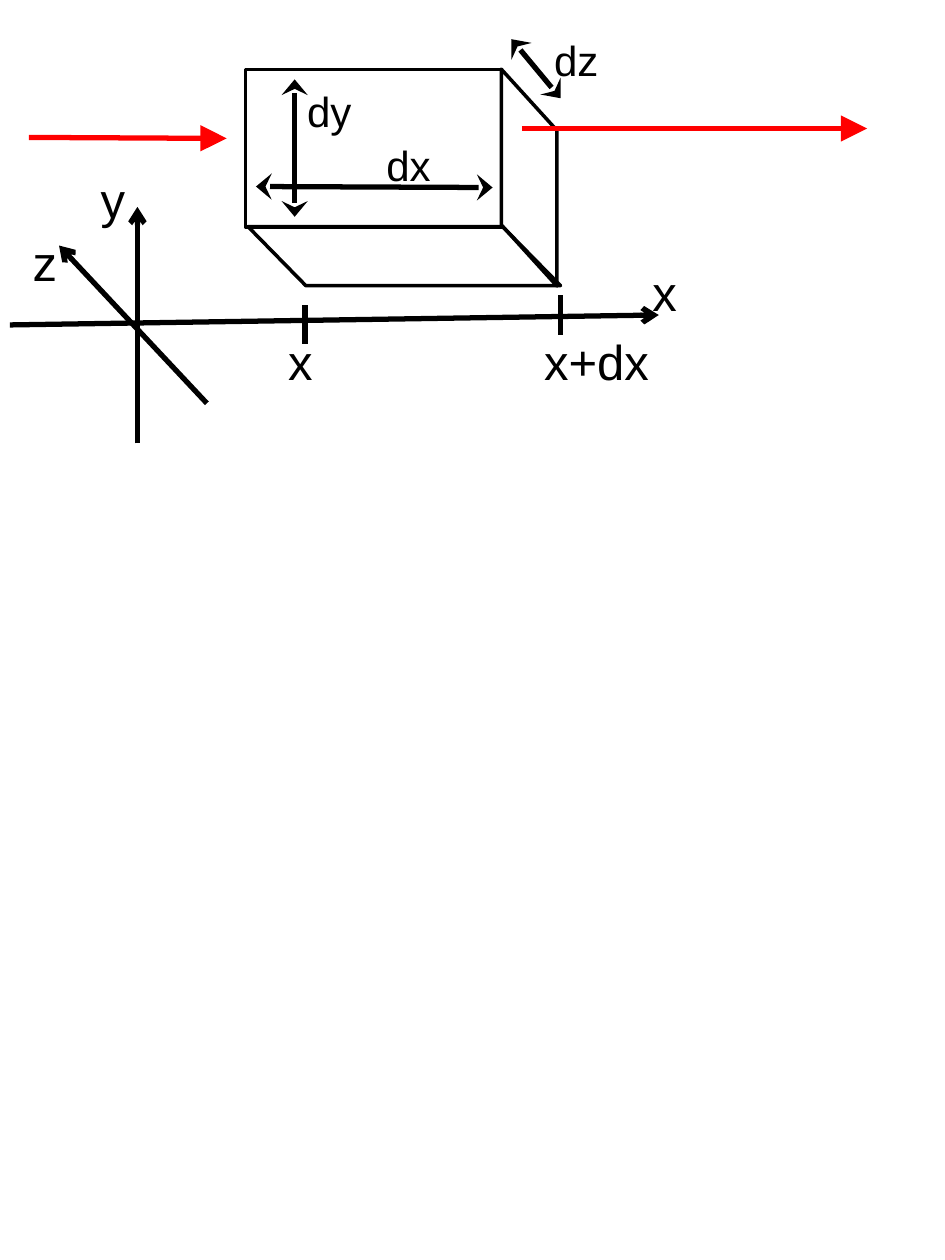
"""Draw a volume element dx, dy, dz in its axes with flow in and out."""
from typing import NamedTuple

from lxml.etree import SubElement
from pptx import Presentation
from pptx.dml.color import RGBColor
from pptx.enum.shapes import MSO_CONNECTOR as Link, MSO_SHAPE as Kind
from pptx.enum.text import MSO_AUTO_SIZE as Fit
from pptx.oxml.ns import qn
from pptx.util import Cm, Pt

BLACK = RGBColor(0, 0, 0)
RED = RGBColor(255, 0, 0)


class Face(NamedTuple):
    kind: Kind
    left: float
    top: float
    width: float
    height: float
    slant: float = 0
    turn: float = 0
    flip: bool = False


class Tip(NamedTuple):
    style: str
    width: str = "med"
    length: str = "med"


class Line(NamedTuple):
    x1: float
    y1: float
    x2: float
    y2: float
    head: Tip | None = None
    tail: Tip | None = None
    color: RGBColor = BLACK


class Label(NamedTuple):
    text: str
    left: float
    top: float
    size: int = 28
    width: float = 2.18


OPEN = Tip("arrow")
BARB = Tip("stealth", "lg")
FLOW = Tip("triangle", "lg", "lg")

FACES = [
    Face(Kind.RECTANGLE, 4.95, 1.4, 5.16, 3.18),
    Face(Kind.PARALLELOGRAM, 8.48, 3.02, 4.37, 1.12, slant=1.1, turn=90),
    Face(Kind.PARALLELOGRAM, 5, 4.57, 6.3, 1.19, slant=0.98, flip=True),
]
AXES = [
    Line(0.2, 6.55, 13.28, 6.35, tail=OPEN),
    Line(2.77, 8.94, 2.77, 4.17, tail=OPEN),
    Line(4.17, 8.13, 1.19, 4.95, tail=OPEN),
]
TICKS = [Line(6.15, 6.93, 6.15, 6.15), Line(11.3, 6.75, 11.3, 5.95)]
SPANS = [
    Line(10.31, 0.79, 11.3, 1.98, BARB, BARB),
    Line(5.94, 1.6, 5.94, 4.37, BARB, BARB),
    Line(5.16, 3.76, 9.93, 3.78, BARB, BARB),
]
FLOWS = [
    Line(0.58, 2.77, 4.57, 2.79, tail=FLOW, color=RED),
    Line(10.52, 2.59, 17.48, 2.59, tail=FLOW, color=RED),
]
LABELS = [
    Label("x", 5.56, 6.55),
    Label("x+dx", 10.72, 6.55, width=3.38),
    Label("x", 12.9, 5.16),
    Label("y", 1.78, 3.3),
    Label("z", 0.41, 4.57),
    Label("dz", 10.92, 0.58, 24),
    Label("dy", 5.94, 1.6, 24),
    Label("dx", 7.54, 2.69, 24),
]


def draw_face(shapes, face: Face) -> None:
    box = map(Cm, (face.left, face.top, face.width, face.height))
    shape = shapes.add_shape(face.kind, *box)
    shape.shadow.inherit = False
    shape.fill.background()
    shape.line.color.rgb = BLACK
    shape.line.width = Pt(2)
    shape.rotation = face.turn
    if face.slant:
        shape.adjustments[0] = face.slant
    if face.flip:
        shape._element.spPr.find(qn("a:xfrm")).set("flipV", "1")


def draw_line(shapes, line: Line) -> None:
    ends = map(Cm, (line.x1, line.y1, line.x2, line.y2))
    link = shapes.add_connector(Link.STRAIGHT, *ends)
    link.line.color.rgb = line.color
    link.line.width = Pt(3)
    props = link._element.spPr
    pen = props.find(qn("a:ln"))
    for tag, tip in (("a:headEnd", line.head), ("a:tailEnd", line.tail)):
        if tip:
            SubElement(pen, qn(tag), type=tip.style, w=tip.width, len=tip.length)
    SubElement(props, qn("a:effectLst"))


def add_text(shapes, text: str, *, left: float, top: float, width: float,
             size: int, font: str = "Arial", color: RGBColor = BLACK) -> None:
    height = 1.45 if size > 24 else 1.27
    frame = shapes.add_textbox(*map(Cm, (left, top, width, height))).text_frame
    frame.word_wrap = True
    frame.auto_size = Fit.SHAPE_TO_FIT_TEXT
    run = frame.paragraphs[0].add_run()
    run.text = text
    run.font.name = font
    run.font.size = Pt(size)
    run.font.color.rgb = color


def main() -> None:
    deck = Presentation()
    deck.slide_width, deck.slide_height = Cm(19.05), Cm(25.4)
    shapes = deck.slides.add_slide(deck.slide_layouts[6]).shapes
    for face in FACES:
        draw_face(shapes, face)
    for line in AXES + TICKS + SPANS + FLOWS:
        draw_line(shapes, line)
    for label in LABELS:
        add_text(shapes, **label._asdict())
    deck.save("out.pptx")


if __name__ == "__main__":
    main()
